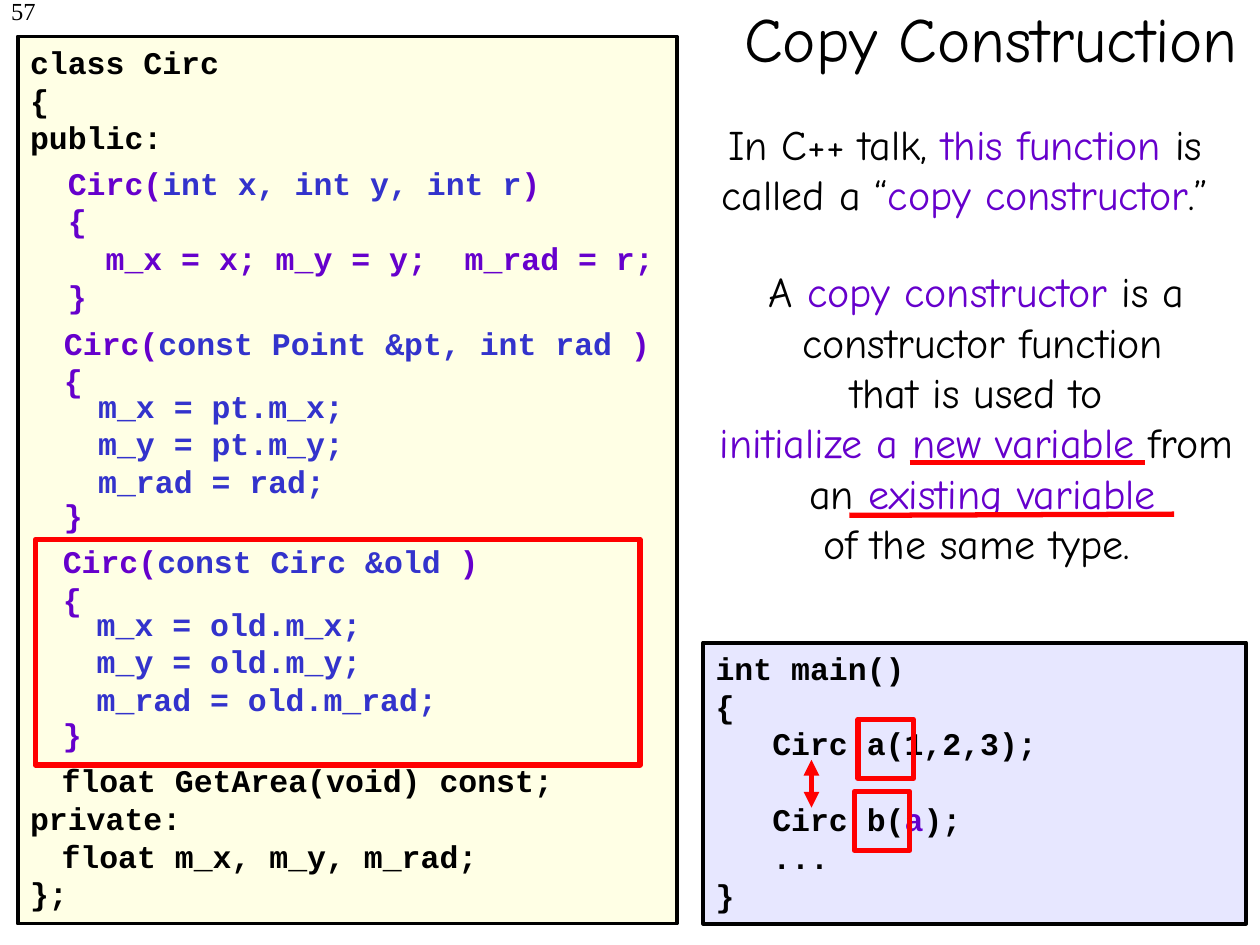
from lxml import etree
from pptx import Presentation
from pptx.dml.color import RGBColor
from pptx.enum.shapes import MSO_CONNECTOR, MSO_SHAPE
from pptx.enum.text import MSO_ANCHOR, PP_ALIGN
from pptx.oxml.ns import qn
from pptx.util import Pt

LEFT, CENTER, RIGHT = PP_ALIGN.LEFT, PP_ALIGN.CENTER, PP_ALIGN.RIGHT
TOP, MIDDLE = MSO_ANCHOR.TOP, MSO_ANCHOR.MIDDLE
RECTANGLE, STRAIGHT = MSO_SHAPE.RECTANGLE, MSO_CONNECTOR.STRAIGHT

COLORS = {
    "black": "000000", "purple": "6600CC", "blue": "3333CC", "red": "FF0000",
    "cream": "FFFFE5", "lavender": "E7E7FF",
}
CODE = {"name": "Courier New", "size": Pt(18), "bold": True}
PROSE = {"name": "Comic Neue", "size": Pt(24), "bold": False}
TITLE = {"name": "Comic Neue", "size": Pt(36), "bold": False}
NUMBER = {"name": "Times New Roman", "size": Pt(14), "bold": False}
CODE_PITCH, PROSE_PITCH = 21.6, 28.8
TAB = 18
PROSE_INDENT = 7
BODY_GAP = 55.5

CLASS_CODE = [
    "class Circ", "{", "public:",
    {"runs": "float GetArea(void) const;", "before": 16 * CODE_PITCH, "indent": TAB},
    "private:",
    {"runs": "float m_x, m_y, m_rad;", "indent": TAB},
    "};",
]
MAIN_CODE = [
    "int main()", "{", "   Circ a(1,2,3);",
    {"runs": [("   Circ b(", "black"), ("a", "purple"), (");", "black")],
     "before": CODE_PITCH},
    "   ...", "}",
]
INT_CONSTRUCTOR = [
    [(" Circ(", "purple"), ("int x, int y, int r", "blue"), (")", "purple")],
    " {", "   m_x = x; m_y = y;  m_rad = r;", " }",
]
COPYING_CONSTRUCTORS = [
    ("const Point &pt, int rad", (18.7, 181.4), (49, 217.4),
     ["m_x = pt.m_x;", "m_y = pt.m_y;", "m_rad = rad;"]),
    ("const Circ &old", (18, 306.4), (48.2, 342),
     ["m_x = old.m_x;", "m_y = old.m_y;", "m_rad = old.m_rad;"]),
]
INTRODUCTION = [
    [("In C++ talk, ", "black"), ("this function", "purple"),
     (" is called a “", "black"), ("copy constructor", "purple"), (".”", "black")],
]
DEFINITION = [
    [("A ", "black"), ("copy constructor", "purple"), (" is a", "black")],
    {"runs": "constructor function", "indent": PROSE_INDENT},
    "that is used to",
    [("initialize a new variable ", "purple"), ("from", "black")],
    {"runs": [("an ", "black"), ("existing variable", "purple")],
     "indent": PROSE_INDENT},
    "of the same type.",
]
RED_FRAMES = [
    (20.2, 308.2, 345.6, 128.9),
    (488.2, 452.2, 31.7, 33.8),
    (490.3, 411.1, 31.7, 33.8),
]
UNDERLINES = [(519.8, 264.2, 654.5, 264.2), (485.3, 294.5, 671, 293.8)]
ASSIGNMENT_ARROW = (463.7, 434.2, 463.7, 461.5)


def rgb(name):
    return RGBColor.from_string(COLORS[name])


def write(shape, lines, font, color="black", pitch=None, align=LEFT,
          anchor=TOP, side_margin=7.2):
    frame = shape.text_frame
    frame_format = {
        "word_wrap": True, "vertical_anchor": anchor,
        "margin_left": Pt(side_margin), "margin_right": Pt(side_margin),
        "margin_top": Pt(3.6), "margin_bottom": Pt(3.6),
    }
    for key, value in frame_format.items():
        setattr(frame, key, value)
    for index, line in enumerate(lines):
        details = line if isinstance(line, dict) else {"runs": line}
        runs = details["runs"]
        if isinstance(runs, str):
            runs = [(runs, color)]
        paragraph = frame.add_paragraph() if index else frame.paragraphs[0]
        paragraph.alignment = align
        if pitch:
            paragraph.line_spacing = Pt(pitch)
        if "before" in details:
            paragraph.space_before = Pt(details["before"])
        if "indent" in details:
            properties = paragraph._p.get_or_add_pPr()
            properties.set("marL", str(Pt(details["indent"])))
            properties.set("indent", "0")
        for words, run_color in runs:
            run = paragraph.add_run()
            run.text = words
            for key, value in font.items():
                setattr(run.font, key, value)
            run.font.color.rgb = rgb(run_color)


def text(box, lines, font, **options):
    write(slide.shapes.add_textbox(*map(Pt, box)), lines, font, **options)


def rectangle(box, line, width, fill=None):
    shape = slide.shapes.add_shape(RECTANGLE, *map(Pt, box))
    shape.shadow.inherit = False
    if fill:
        shape.fill.solid()
        shape.fill.fore_color.rgb = rgb(fill)
    else:
        shape.fill.background()
    shape.line.color.rgb = rgb(line)
    shape.line.width = Pt(width)
    return shape


def red_line(ends, arrows=False):
    connector = slide.shapes.add_connector(STRAIGHT, *map(Pt, ends))
    connector.line.color.rgb = rgb("red")
    connector.line.width = Pt(3)
    if arrows:
        outline = connector.line._get_or_add_ln()
        for end in ("a:headEnd", "a:tailEnd"):
            etree.SubElement(outline, qn(end), type="triangle")
    etree.SubElement(connector._element.spPr, qn("a:effectLst"))


deck = Presentation()
deck.slide_width, deck.slide_height = Pt(720), Pt(540)
slide = deck.slides.add_slide(deck.slide_layouts[6])

text((0, -5.8, 20.4, 36), ["57"], NUMBER, align=RIGHT, side_margin=0)
text((376.6, -23.8, 379.4, 90), ["Copy Construction"], TITLE,
     align=CENTER, anchor=MIDDLE)
write(rectangle((401.8, 367.2, 310.3, 160.6), "black", 2.25, "lavender"),
      MAIN_CODE, CODE, pitch=CODE_PITCH)
write(rectangle((10.1, 20.9, 376.6, 506.9), "black", 2.25, "cream"),
      CLASS_CODE, CODE, pitch=CODE_PITCH)

text((20.9, 90, 360, 93.6), INT_CONSTRUCTOR, CODE,
     color="purple", pitch=CODE_PITCH)
for parameters, (left, top), (body_left, body_top), body in COPYING_CONSTRUCTORS:
    outer = [
        [(" Circ(", "purple"), (parameters, "blue"), (" )", "purple")],
        " {",
        {"runs": " }", "before": BODY_GAP},
    ]
    text((left, top, 366, 127.4), outer, CODE, color="purple", pitch=CODE_PITCH)
    text((body_left, body_top, 254, 72), body, CODE,
         color="blue", pitch=CODE_PITCH)

text((381.6, 64.1, 339.8, 64.8), INTRODUCTION, PROSE,
     pitch=PROSE_PITCH, align=CENTER)
text((388.1, 148.3, 339.8, 180), DEFINITION, PROSE,
     pitch=PROSE_PITCH, align=CENTER)

for frame_box in RED_FRAMES:
    rectangle(frame_box, "red", 3)
for underline in UNDERLINES:
    red_line(underline)
red_line(ASSIGNMENT_ARROW, arrows=True)

deck.save("out.pptx")
